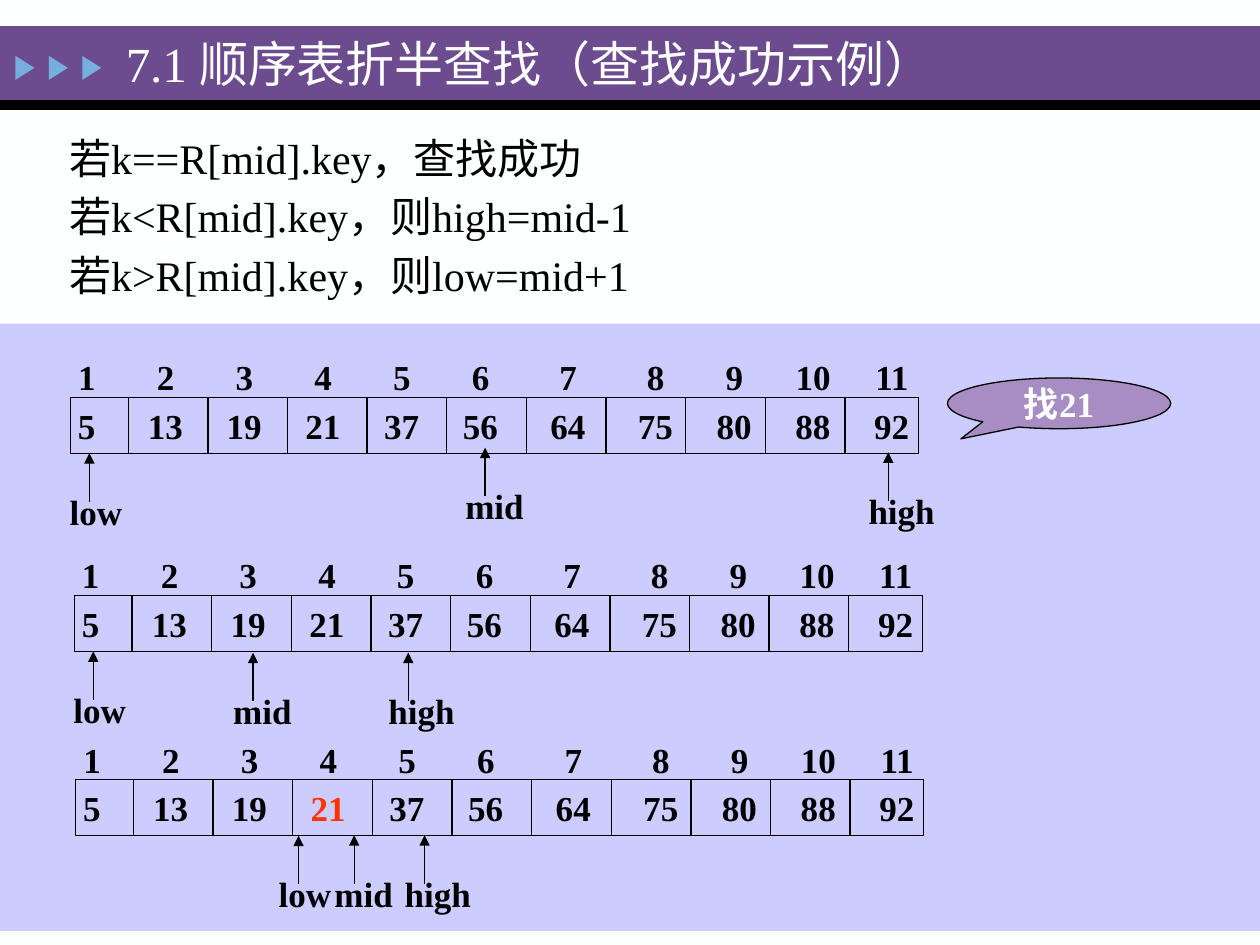
import dataclasses
import itertools

import pptx
import pptx.dml.color
import pptx.enum.shapes
import pptx.enum.text
import pptx.oxml
import pptx.oxml.ns
import pptx.util

Pt = pptx.util.Pt
Shape = pptx.enum.shapes.MSO_SHAPE
Align = pptx.enum.text.PP_ALIGN
Anchor = pptx.enum.text.MSO_ANCHOR


@dataclasses.dataclass(frozen=True)
class Theme:
    font: str = "Times New Roman"
    paper: str = "FEFFFF"
    ink: str = "000000"
    banner: str = "6C4C8F"
    marker: str = "76AEDD"
    panel: str = "CCCCFF"
    callout: str = "A78DC2"
    found: str = "FF3300"
    title_size: float = 28
    body_size: float = 24
    label_size: float = 20
    line_width: float = 0.75


THEME = Theme()
KEYS = [5, 13, 19, 21, 37, 56, 64, 75, 80, 88, 92]
# Centres of columns 2 to 11, measured from the start of the text
COLUMN_TABS = list(itertools.accumulate([50] + [45] * 4 + [50] * 2 + [45] * 3))
ROW_WIDTH, ROW_HEIGHT = 484.6, 32
FIRST_CELL, CELL = 33.1, 45.5
LABEL_WIDTHS = {"low": 45.5, "mid": 49, "high": 53.5}

# Each search step: left, top, highlighted key, pointers (name, x, tip y)
STEPS = [
    (40.2, 227, None, [("low", 51.1, 259), ("high", 507.6, 258.5), ("mid", 277.2, 255.8)]),
    (42.4, 340.4, None, [("low", 53.3, 372.3), ("high", 233.3, 373), ("mid", 144.6, 373)]),
    (43.2, 445.6, 21, [("low", 170.6, 477.6), ("high", 242.6, 477.3), ("mid", 202.4, 477.3)]),
]


def rgb(colour):
    return pptx.dml.color.RGBColor.from_string(colour)


def add_box(shapes, kind, box, fill=None, line=None):
    shape = shapes.add_shape(kind, *map(Pt, box))
    shape.shadow.inherit = False
    if fill:
        shape.fill.solid()
        shape.fill.fore_color.rgb = rgb(fill)
    else:
        shape.fill.background()
    if line:
        shape.line.color.rgb = rgb(line)
        shape.line.width = Pt(THEME.line_width)
    else:
        shape.line.fill.background()
    return shape


def add_run(paragraph, text, size, colour, bold=False):
    run = paragraph.add_run()
    run.text = text
    run.font.name = THEME.font
    run.font.size = Pt(size)
    run.font.bold = bold
    run.font.color.rgb = rgb(colour)


def add_text(shapes, box, lines, size, colour, bold=False, wrap=True, anchor=Anchor.MIDDLE):
    frame = shapes.add_textbox(*map(Pt, box)).text_frame
    frame.word_wrap = wrap
    frame.vertical_anchor = anchor
    for number, line in enumerate(lines):
        paragraph = frame.paragraphs[0] if number == 0 else frame.add_paragraph()
        if number:
            paragraph.space_before = Pt(size * 0.2)
        add_run(paragraph, line, size, colour, bold)
    return frame


def add_line(shapes, start, end, arrow=False):
    connector = shapes.add_connector(
        pptx.enum.shapes.MSO_CONNECTOR.STRAIGHT, *map(Pt, start + end))
    connector.line.color.rgb = rgb(THEME.ink)
    connector.line.width = Pt(THEME.line_width)
    if arrow:
        tail = pptx.oxml.parse_xml(
            f'<a:tailEnd {pptx.oxml.ns.nsdecls("a")} type="triangle"/>')
        connector.line._get_or_add_ln().append(tail)
    connector._element.spPr.append(
        pptx.oxml.parse_xml(f'<a:effectLst {pptx.oxml.ns.nsdecls("a")}/>'))


def set_column_tabs(paragraph):
    paragraph.alignment = Align.LEFT
    stops = "".join(f'<a:tab pos="{int(Pt(stop))}" algn="ctr"/>' for stop in COLUMN_TABS)
    paragraph._p.get_or_add_pPr().append(pptx.oxml.parse_xml(
        f'<a:tabLst {pptx.oxml.ns.nsdecls("a")}>{stops}</a:tabLst>'))


def add_pointer(shapes, name, x, tip):
    tail = tip + 27.7
    add_line(shapes, (x, tail), (x, tip), arrow=True)
    add_text(shapes, (x - 18.4, tail - 10.1, LABEL_WIDTHS[name], 31.2), [name],
             THEME.label_size, THEME.ink, bold=True, wrap=False, anchor=Anchor.TOP)


def add_array(shapes, left, top, found):
    # Position numbers above the cells
    indices = "\t".join(str(number + 1) for number in range(len(KEYS)))
    frame = add_text(shapes, (left - 2.6, top - 27.4, 489.6, 31.2), [indices],
                     THEME.label_size, THEME.ink, bold=True, anchor=Anchor.TOP)
    set_column_tabs(frame.paragraphs[0])

    # Keys in one frame
    row = add_box(shapes, Shape.RECTANGLE, (left, top, ROW_WIDTH, ROW_HEIGHT), line=THEME.ink)
    frame = row.text_frame
    frame.word_wrap = True
    frame.vertical_anchor = Anchor.MIDDLE
    frame.margin_left, frame.margin_right = Pt(4.4), Pt(0)
    paragraph = frame.paragraphs[0]
    set_column_tabs(paragraph)
    for number, key in enumerate(KEYS):
        if number:
            add_run(paragraph, "\t", THEME.label_size, THEME.ink, bold=True)
        colour = THEME.found if key == found else THEME.ink
        add_run(paragraph, str(key), THEME.label_size, colour, bold=True)

    # Cell dividers
    for number in range(len(KEYS) - 1):
        x = left + FIRST_CELL + number * CELL
        add_line(shapes, (x, top), (x, top + ROW_HEIGHT))


def add_callout(shapes):
    callout = add_box(shapes, Shape.OVAL_CALLOUT, (541.4, 216, 127.6, 29),
                      THEME.callout, THEME.ink)
    callout.adjustments[0], callout.adjustments[1] = -0.44, 0.7
    frame = callout.text_frame
    frame.word_wrap = False
    frame.vertical_anchor = Anchor.MIDDLE
    frame.paragraphs[0].alignment = Align.CENTER
    add_run(frame.paragraphs[0], "找21", THEME.label_size, THEME.paper, bold=True)


def add_banner(shapes):
    add_box(shapes, Shape.RECTANGLE, (0, 15, 720, 42.5), THEME.banner)
    add_box(shapes, Shape.RECTANGLE, (0, 57.3, 720, 5.6), THEME.ink)
    for number in range(3):
        marker = add_box(shapes, Shape.ISOSCELES_TRIANGLE,
                         (7.4 + number * 19.1, 33.4, 13.7, 10.8), THEME.marker)
        marker.rotation = 90
    add_text(shapes, (64.8, 16, 590.4, 40), ["7.1 顺序表折半查找（查找成功示例）"],
             THEME.title_size, THEME.paper)


def main():
    presentation = pptx.Presentation()
    presentation.slide_width, presentation.slide_height = Pt(720), Pt(540)
    slide = presentation.slides.add_slide(presentation.slide_layouts[6])
    slide.background.fill.solid()
    slide.background.fill.fore_color.rgb = rgb(THEME.paper)

    # Title and rules of the search
    add_banner(slide.shapes)
    add_text(slide.shapes, (32.4, 68.4, 652.3, 110.2),
             ["若k==R[mid].key，查找成功", "若k<R[mid].key，则high=mid-1",
              "若k>R[mid].key，则low=mid+1"], THEME.body_size, THEME.ink)

    # Search steps on the panel
    add_box(slide.shapes, Shape.RECTANGLE, (0, 185, 720, 347), THEME.panel)
    for left, top, found, pointers in STEPS:
        group = slide.shapes.add_group_shape().shapes
        add_array(group, left, top, found)
        for pointer in pointers:
            add_pointer(group, *pointer)
    add_callout(slide.shapes)

    presentation.save("out.pptx")


if __name__ == "__main__":
    main()
